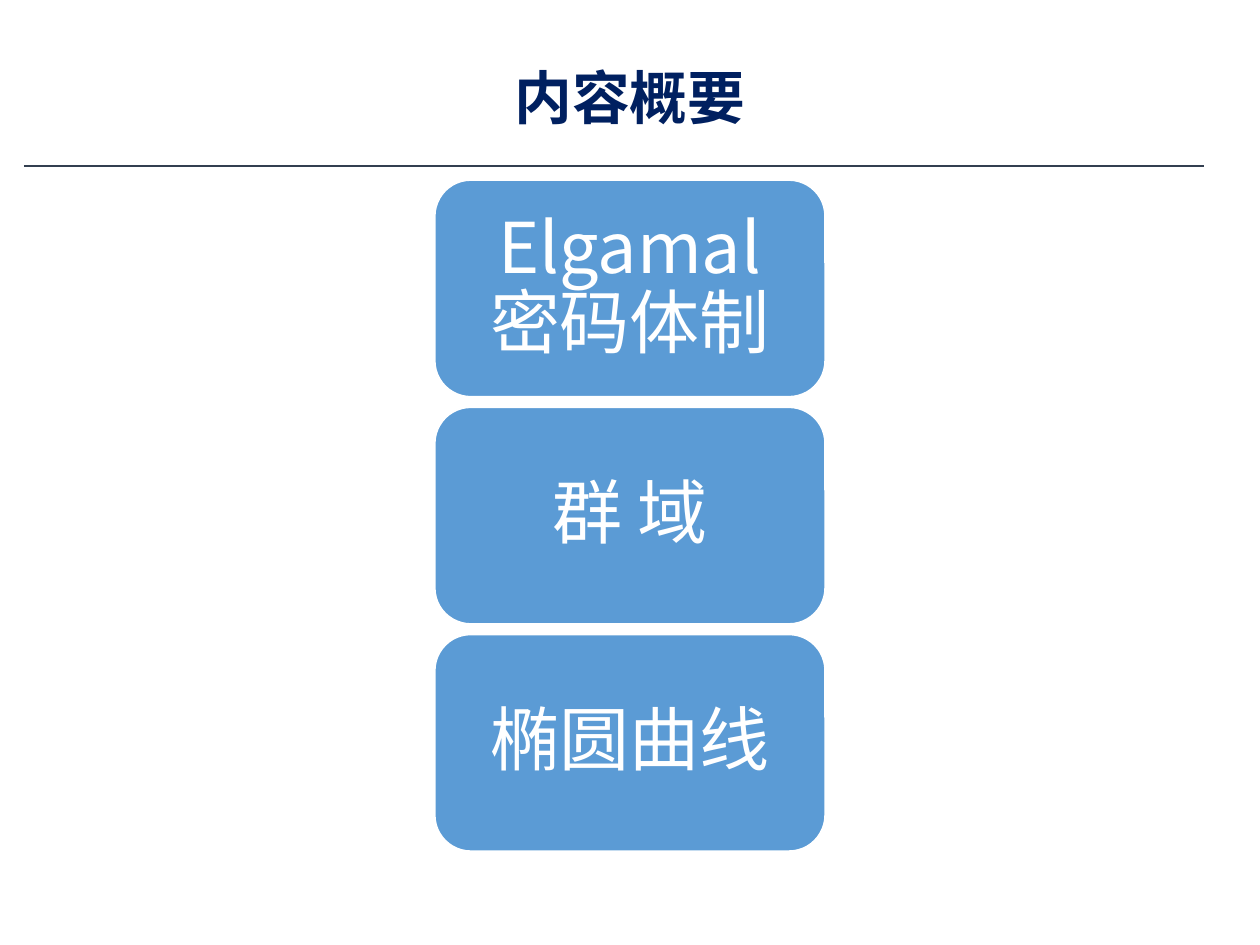
"""Build the outline slide: a title, a rule and three stacked topic boxes."""
from lxml.etree import SubElement
from pptx import Presentation
from pptx.dml.color import RGBColor
from pptx.enum.shapes import MSO_CONNECTOR as Connector, MSO_SHAPE as Shape
from pptx.enum.text import MSO_ANCHOR as Anchor, PP_ALIGN as Align
from pptx.oxml.ns import qn
from pptx.util import Cm, Pt

TITLE = "内容概要"
TOPICS = ["Elgamal密码体制", "群 域", "椭圆曲线"]

FONT = "Noto Sans CJK SC"
NAVY, SLATE, BLUE, WHITE = "002060", "333F50", "5B9BD5", "FFFFFF"
PAGE_WIDTH, PAGE_HEIGHT = 25.4, 19.05
BOX_WIDTH, BOX_HEIGHT, BOX_GAP, FIRST_TOP = 7.87, 4.37, 0.21, 3.63


def color(value):
    return RGBColor.from_string(value)


def write(shape, text, *, size, ink, bold=False, margins=(0.25, 0.13)):
    frame = shape.text_frame
    frame.word_wrap = True
    frame.vertical_anchor = Anchor.MIDDLE
    frame.margin_left = frame.margin_right = Cm(margins[0])
    frame.margin_top = frame.margin_bottom = Cm(margins[1])
    para = frame.paragraphs[0]
    para.alignment = Align.CENTER
    para.line_spacing = 0.9
    span = para.add_run()
    span.text = text
    span.font.name = FONT
    span.font.size = Pt(size)
    span.font.bold = bold
    span.font.color.rgb = color(ink)
    SubElement(span.font._element, qn("a:ea"), typeface=FONT)


def add_rule(page, left, right, top):
    rule = page.shapes.add_connector(
        Connector.STRAIGHT, Cm(left), Cm(top), Cm(right), Cm(top))
    rule.line.color.rgb = color(SLATE)
    rule.line.width = Pt(1.5)
    SubElement(rule._element.spPr, qn("a:effectLst"))


def add_topic(page, index, topic):
    left = (PAGE_WIDTH - BOX_WIDTH) / 2
    top = FIRST_TOP + index * (BOX_HEIGHT + BOX_GAP)
    box = page.shapes.add_shape(
        Shape.ROUNDED_RECTANGLE, Cm(left), Cm(top), Cm(BOX_WIDTH), Cm(BOX_HEIGHT))
    box.shadow.inherit = False
    box.fill.solid()
    box.fill.fore_color.rgb = color(BLUE)
    box.line.color.rgb = color(WHITE)
    box.line.width = Pt(1)
    write(box, topic, size=40, ink=WHITE, margins=(0.42, 0.21))


def main():
    deck = Presentation()
    deck.slide_width, deck.slide_height = Cm(PAGE_WIDTH), Cm(PAGE_HEIGHT)
    page = deck.slides.add_slide(deck.slide_layouts[6])
    add_rule(page, 0.48, 24.28, 3.35)
    heading = page.shapes.add_textbox(Cm(1.75), Cm(1.02), Cm(21.9), Cm(2.03))
    write(heading, TITLE, size=33, ink=NAVY, bold=True)
    for index, topic in enumerate(TOPICS):
        add_topic(page, index, topic)
    deck.save("out.pptx")


if __name__ == "__main__":
    main()
